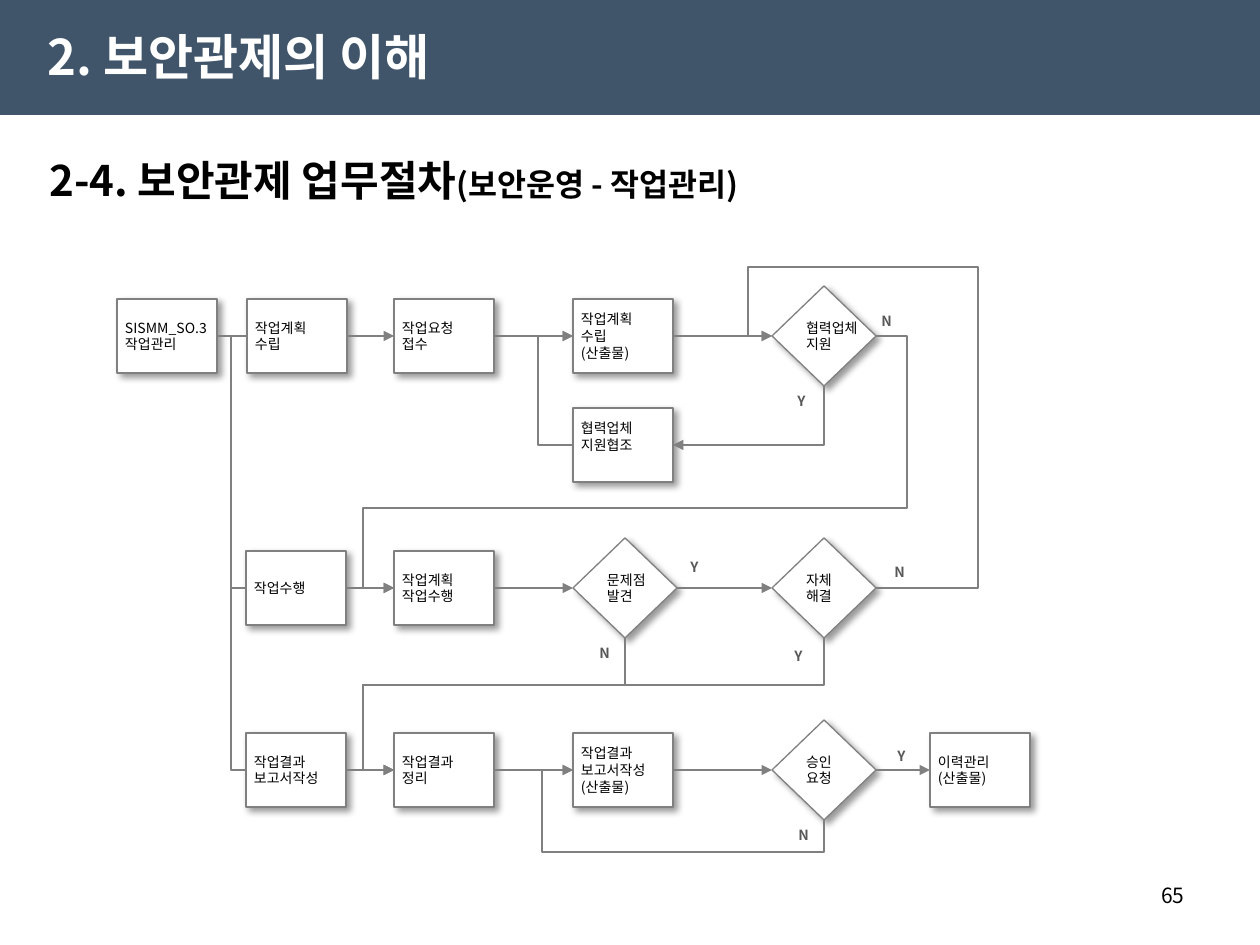
from dataclasses import dataclass

import pptx
import pptx.dml.color
import pptx.enum.shapes
import pptx.enum.text
import pptx.oxml
import pptx.oxml.ns
import pptx.util

SHAPES = pptx.enum.shapes.MSO_SHAPE
CONNECTORS = pptx.enum.shapes.MSO_CONNECTOR
ALIGN = pptx.enum.text.PP_ALIGN
ANCHOR = pptx.enum.text.MSO_ANCHOR
AUTO_SIZE = pptx.enum.text.MSO_AUTO_SIZE
LEFT_SIDE, RIGHT_SIDE = 1, 3


@dataclass(frozen=True)
class Theme:
    font: str = "Noto Sans CJK KR"
    header: str = "40546A"
    white: str = "FFFFFF"
    black: str = "000000"
    line: str = "808080"
    label: str = "595959"
    title_size: int = 28
    heading_size: int = 24
    subheading_size: int = 18
    number_size: int = 12
    node_size: int = 8


def px(value):
    return pptx.util.Emu(round(value * 914400 / 126))


def rgb(value):
    return pptx.dml.color.RGBColor.from_string(value)


def drawing_xml(tag, content="", attributes=""):
    namespace = pptx.oxml.ns.nsdecls("a")
    return pptx.oxml.parse_xml(f"<a:{tag} {namespace} {attributes}>{content}</a:{tag}>")


class FlowSlide:
    BOX = (100, 74)
    DIAMOND = (104, 100)

    def __init__(self, slide, theme):
        self.slide = slide
        self.theme = theme

    def style_run(self, run, size, color, bold=False):
        run.font.size = pptx.util.Pt(size)
        run.font.bold = bold
        run.font.color.rgb = rgb(color)
        run.font.name = self.theme.font
        run.font._element.append(drawing_xml("ea", attributes=f'typeface="{self.theme.font}"'))

    def header(self, width, height):
        shape = self.slide.shapes.add_shape(SHAPES.RECTANGLE, 0, 0, px(width), px(height))
        shape.shadow.inherit = False
        shape.fill.solid()
        shape.fill.fore_color.rgb = rgb(self.theme.header)
        shape.line.fill.background()

    def text(self, parts, box, color, bold=True, align=ALIGN.LEFT, anchor=ANCHOR.MIDDLE, wrap=True):
        shape = self.slide.shapes.add_textbox(*map(px, box))
        frame = shape.text_frame
        frame.word_wrap = wrap
        frame.vertical_anchor = anchor
        paragraph = frame.paragraphs[0]
        paragraph.alignment = align
        for content, size in parts:
            run = paragraph.add_run()
            run.text = content
            self.style_run(run, size, color, bold)
        return shape

    def label(self, content, left, top):
        shape = self.text([(content, self.theme.node_size)], (left, top, 36, 30),
                          self.theme.label, anchor=ANCHOR.TOP, wrap=False)
        shape.text_frame.auto_size = AUTO_SIZE.SHAPE_TO_FIT_TEXT

    def node(self, content, left, middle, kind, size, bottom_inset=4):
        width, height = size
        shape = self.slide.shapes.add_shape(
            kind, px(left), px(middle - height // 2), px(width), px(height))
        shape.fill.solid()
        shape.fill.fore_color.rgb = rgb(self.theme.white)
        shape.line.color.rgb = rgb(self.theme.line)
        shape.line.width = pptx.util.Pt(0.75)
        shape.shadow.inherit = False
        effects = shape._element.spPr.find(pptx.oxml.ns.qn("a:effectLst"))
        effects.append(drawing_xml(
            "outerShdw",
            f'<a:srgbClr val="{self.theme.black}"><a:alpha val="40000"/></a:srgbClr>',
            'blurRad="50800" dist="38100" dir="2700000" algn="tl" rotWithShape="0"'))
        frame = shape.text_frame
        frame.text = content
        frame.word_wrap = False
        frame.vertical_anchor = ANCHOR.MIDDLE
        frame.margin_left = frame.margin_right = px(8)
        frame.margin_top = px(4)
        frame.margin_bottom = px(bottom_inset)
        for paragraph in frame.paragraphs:
            paragraph.alignment = ALIGN.LEFT
            for run in paragraph.runs:
                self.style_run(run, self.theme.node_size, self.theme.black)
        return shape

    def box(self, content, left, middle, bottom_inset=4):
        return self.node(content, left, middle, SHAPES.RECTANGLE, self.BOX, bottom_inset)

    def decision(self, content, left, middle):
        return self.node(content, left, middle, SHAPES.FLOWCHART_DECISION, self.DIAMOND)

    def style_connector(self, connector, arrow):
        connector.line.color.rgb = rgb(self.theme.line)
        connector.line.width = pptx.util.Pt(1)
        if arrow:
            connector.line._get_or_add_ln().append(drawing_xml("headEnd", attributes='type="triangle"'))
        connector._element.spPr.append(drawing_xml("effectLst"))

    def straight(self, target, source, arrow=True):
        connector = self.slide.shapes.add_connector(CONNECTORS.STRAIGHT, 0, 0, 0, 0)
        connector.begin_connect(target, LEFT_SIDE)
        connector.end_connect(source, RIGHT_SIDE)
        self.style_connector(connector, arrow)

    def elbow(self, begin, end, turns, arrow=True):
        connector = self.slide.shapes.add_connector(
            CONNECTORS.ELBOW, *map(px, begin), *map(px, end))
        geometry = connector._element.spPr.find(pptx.oxml.ns.qn("a:prstGeom"))
        geometry.set("prst", f"bentConnector{len(turns) + 2}")
        guides = geometry.get_or_add_avLst()
        for index, turn in enumerate(turns):
            axis = index % 2
            ratio = (turn - begin[axis]) / (end[axis] - begin[axis])
            guides.append(drawing_xml(
                "gd", attributes=f'name="adj{index + 1}" fmla="val {round(ratio * 100000)}"'))
        self.style_connector(connector, arrow)


def main():
    theme = Theme()
    presentation = pptx.Presentation()
    presentation.slide_width, presentation.slide_height = px(1260), px(945)
    flow = FlowSlide(presentation.slides.add_slide(presentation.slide_layouts[6]), theme)

    flow.header(1260, 115)
    flow.text([("2. 보안관제의 이해", theme.title_size)], (35, 16, 595, 80), theme.white)
    flow.text([("2-4. 보안관제 업무절차", theme.heading_size),
               ("(보안운영 - 작업관리)", theme.subheading_size)], (37, 145, 1188, 69), theme.black)

    plan_row, support_row, work_row, report_row = 336, 445, 588, 770
    start_x, phase_x, step_x, output_x, decision_x, archive_x = 117, 246, 394, 573, 772, 930

    start = flow.box("SISMM_SO.3\n작업관리", start_x, plan_row)
    plan = flow.box("작업계획\n수립", phase_x + 1, plan_row)
    request = flow.box("작업요청\n접수", step_x, plan_row)
    plan_output = flow.box("작업계획\n수립\n(산출물)", output_x, plan_row)
    vendor = flow.decision("협력업체\n지원", decision_x, plan_row)
    flow.box("협력업체\n지원협조", output_x, support_row, bottom_inset=21)

    work = flow.box("작업수행", phase_x, work_row)
    planned_work = flow.box("작업계획\n작업수행", step_x, work_row)
    problem = flow.decision("문제점\n발견", output_x, work_row)
    solved = flow.decision("자체\n해결", decision_x, work_row)

    report = flow.box("작업결과\n보고서작성", phase_x, report_row)
    summary = flow.box("작업결과\n정리", step_x, report_row)
    report_output = flow.box("작업결과\n보고서작성\n(산출물)", output_x, report_row)
    approval = flow.decision("승인\n요청", decision_x, report_row)
    archive = flow.box("이력관리\n(산출물)", archive_x, report_row)

    flow.straight(plan, start, arrow=False)
    for chain in ((plan, request, plan_output, vendor),
                  (work, planned_work, problem, solved),
                  (report, summary, report_output, approval, archive)):
        for source, target in zip(chain, chain[1:]):
            flow.straight(target, source)

    box_width = flow.BOX[0]
    half_width, half_height = (length // 2 for length in flow.DIAMOND)
    decision_center = decision_x + half_width
    decision_right = decision_x + 2 * half_width
    for row in (work_row, report_row):
        flow.elbow((start_x + box_width, plan_row), (phase_x, row), [231], arrow=False)
    flow.elbow((output_x + box_width, support_row), (decision_center, plan_row + half_height), [])
    flow.elbow((output_x, plan_row), (output_x + 1, support_row), [538])
    flow.elbow((step_x, work_row), (decision_right, plan_row), [363, 508, 907])
    flow.elbow((decision_x, plan_row), (decision_right, work_row), [748, 267, 978])
    for center in (output_x + half_width, decision_center):
        flow.elbow((step_x, report_row), (center, work_row + half_height), [363, 685])
    flow.elbow((output_x, report_row), (decision_center, report_row + half_height), [542, 852])

    for content, left, top in (("Y", 785, 386), ("N", 869, 306), ("Y", 678, 552),
                               ("N", 587, 638), ("Y", 885, 741), ("N", 786, 820),
                               ("Y", 782, 641), ("N", 882, 557)):
        flow.label(content, left, top)

    flow.text([("65", theme.number_size)], (903, 876, 294, 50), theme.black,
              bold=False, align=ALIGN.RIGHT, anchor=ANCHOR.TOP)
    presentation.save("out.pptx")


if __name__ == "__main__":
    main()
